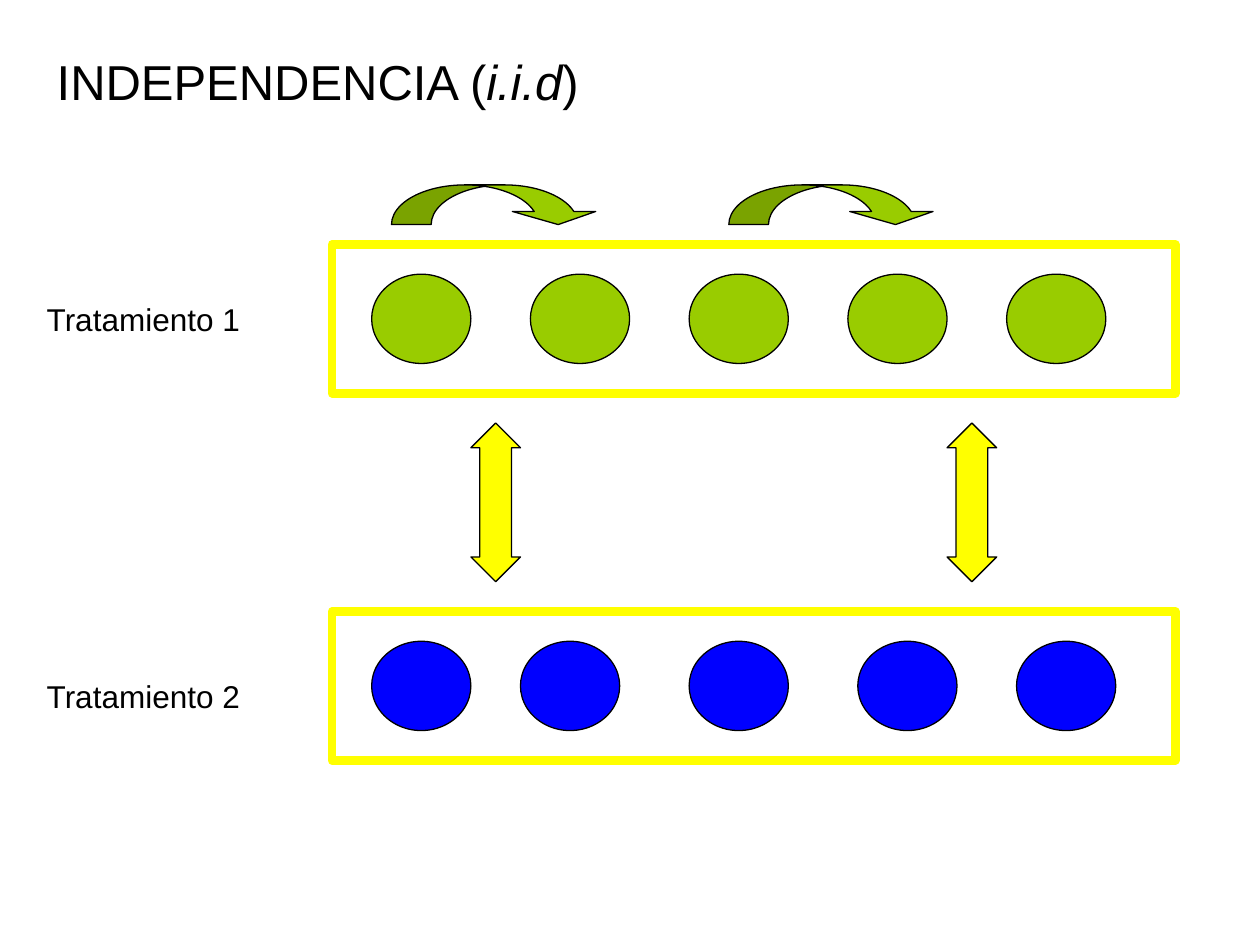
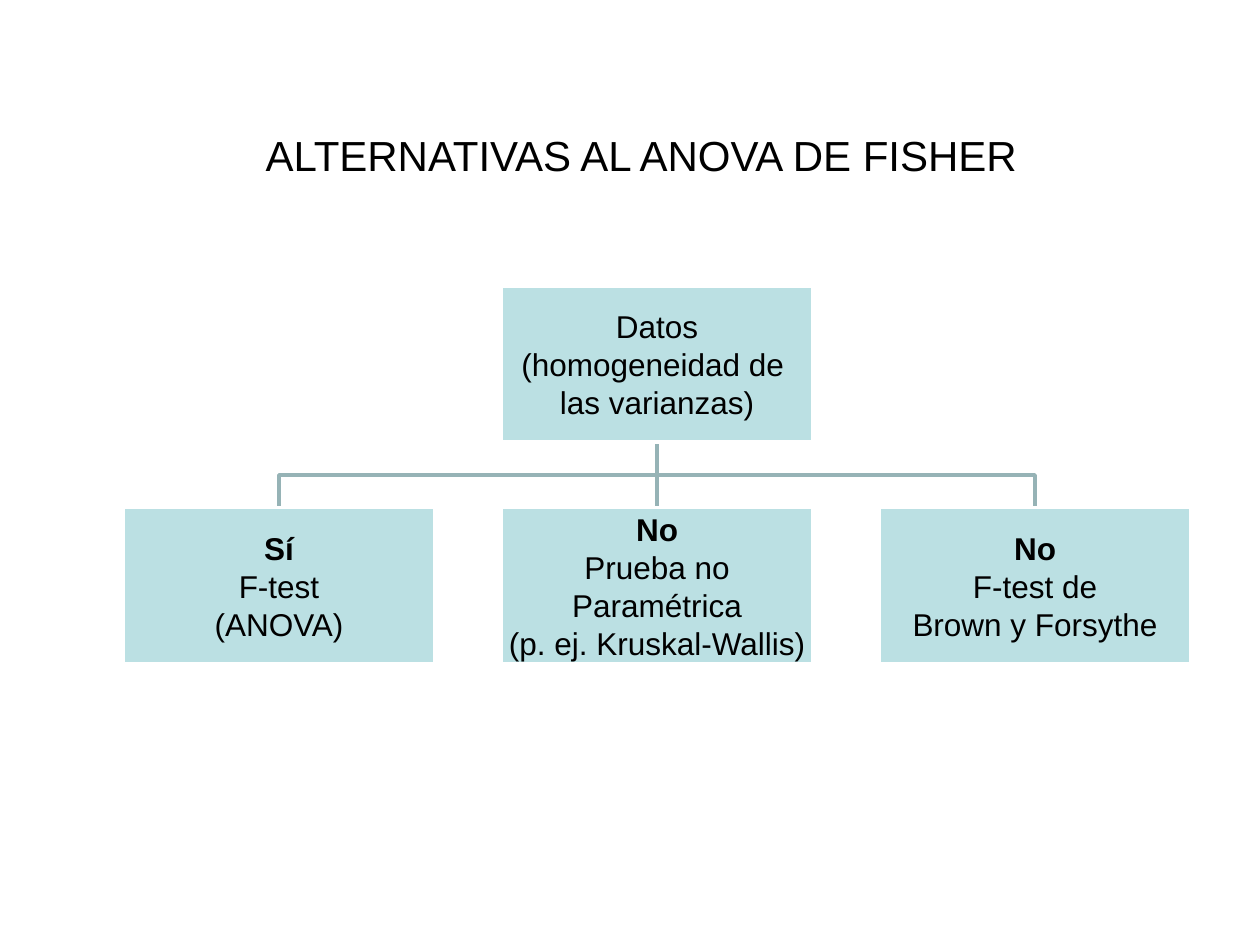
"""Build two slides on independence and the alternatives to Fisher's ANOVA."""
from dataclasses import dataclass

from lxml import etree
from pptx import Presentation
from pptx.dml.color import RGBColor
from pptx.enum.shapes import MSO_CONNECTOR, MSO_SHAPE
from pptx.enum.text import MSO_ANCHOR, MSO_AUTO_SIZE, PP_ALIGN
from pptx.oxml.ns import qn
from pptx.util import Inches, Mm, Pt

RECTANGLE, ELLIPSE = MSO_SHAPE.RECTANGLE, MSO_SHAPE.OVAL
CURVED_ARROW, DOUBLE_ARROW = MSO_SHAPE.CURVED_DOWN_ARROW, MSO_SHAPE.UP_DOWN_ARROW
STRAIGHT = MSO_CONNECTOR.STRAIGHT
LEFT, CENTER = PP_ALIGN.LEFT, PP_ALIGN.CENTER
TOP, MIDDLE = MSO_ANCHOR.TOP, MSO_ANCHOR.MIDDLE
NO_AUTOFIT = MSO_AUTO_SIZE.NONE
TITLE_ONLY = 5
BOTTOM_SITE, TOP_SITE = 2, 0


@dataclass(frozen=True)
class Theme:
    """Colours, type and line weights of the deck."""
    font: str = "Arial"
    text: str = "000000"
    outline: str = "000000"
    highlight: str = "FFFF00"
    first: str = "99CC00"
    second: str = "0000FF"
    box: str = "BBE0E3"
    box_edge: str = "FFFFFF"
    branch: str = "96B3B6"
    large_title: int = 28
    small_title: int = 24
    body: int = 18
    thin: float = 0.75
    medium: float = 2
    thick: float = 5


@dataclass(frozen=True)
class Area:
    """Position and size in EMU."""
    left: int
    top: int
    width: int
    height: int


@dataclass(frozen=True)
class Treatment:
    """A framed row of samples, placed in grid units."""
    label: str
    color: str
    row: int
    label_row: int
    columns: tuple[int, ...]


@dataclass(frozen=True)
class TreeBox:
    """A box of the decision tree and its place in the tree grid."""
    column: int
    row: int
    lines: tuple[str, ...]
    bold_heading: bool = True


THEME = Theme()
GRID_UNIT = Mm(2)
GRID_LEFT, GRID_TOP = Inches(2.95), Inches(1.94)
TREE_LEFT, TREE_TOP = Inches(0.98), Inches(2.27)
TREE_COLUMN, TREE_ROW = Inches(3), Inches(1.76)
BOX_WIDTH, BOX_HEIGHT = Inches(2.47), Inches(1.24)

TREATMENTS = (
    Treatment("Tratamiento 1", THEME.first, 0, 5, (0, 16, 32, 48, 64)),
    Treatment("Tratamiento 2", THEME.second, 37, 43, (0, 15, 32, 49, 65)),
)
TREE_ROOT = TreeBox(1, 0, ("Datos", "(homogeneidad de ", "las varianzas)"), False)
TREE_LEAVES = (
    TreeBox(0, 1, ("Sí", "F-test", "(ANOVA)")),
    TreeBox(1, 1, ("No", "Prueba no Paramétrica", "(p. ej. Kruskal-Wallis)")),
    TreeBox(2, 1, ("No", "F-test de", "Brown y Forsythe")),
)


def inch_area(left: float, top: float, width: float, height: float) -> Area:
    """Return an area given in inches."""
    return Area(Inches(left), Inches(top), Inches(width), Inches(height))


def grid_area(column: float, row: float, columns: float, rows: float) -> Area:
    """Return an area of the sample grid."""
    return Area(GRID_LEFT + int(column * GRID_UNIT), GRID_TOP + int(row * GRID_UNIT),
                int(columns * GRID_UNIT), int(rows * GRID_UNIT))


def tree_area(box: TreeBox) -> Area:
    """Return the area of a tree box."""
    return Area(TREE_LEFT + box.column * TREE_COLUMN, TREE_TOP + box.row * TREE_ROW,
                BOX_WIDTH, BOX_HEIGHT)


def format_run(run, size: int, bold: bool = False, italic: bool = False) -> None:
    """Apply the deck's type to a run."""
    font = run.font
    font.name, font.size = THEME.font, Pt(size)
    font.bold, font.italic = bold, italic
    font.color.rgb = RGBColor.from_string(THEME.text)


def set_line(shape, color: str, width: float) -> None:
    """Colour and weigh an outline."""
    shape.line.color.rgb = RGBColor.from_string(color)
    shape.line.width = Pt(width)


def add_title(slide, area: Area, size: int, alignment, *pieces: tuple[str, bool]) -> None:
    """Fill the title placeholder with (text, italic) pieces."""
    title = slide.shapes.title
    title.left, title.top, title.width, title.height = area.left, area.top, area.width, area.height
    frame = title.text_frame
    frame.auto_size, frame.word_wrap, frame.vertical_anchor = NO_AUTOFIT, True, TOP
    paragraph = frame.paragraphs[0]
    paragraph.alignment = alignment
    for text, italic in pieces:
        run = paragraph.add_run()
        run.text = text
        format_run(run, size, italic=italic)


def add_figure(shapes, kind, area: Area, fill: str | None, line: str = THEME.outline,
               width: float = THEME.thin, adjustments: tuple[float, ...] = ()):
    """Add a preset shape; without a fill it stays hollow."""
    shape = shapes.add_shape(kind, area.left, area.top, area.width, area.height)
    shape.shadow.inherit = False
    if fill is None:
        shape.fill.background()
    else:
        shape.fill.solid()
        shape.fill.fore_color.rgb = RGBColor.from_string(fill)
    set_line(shape, line, width)
    for index, value in enumerate(adjustments):
        shape.adjustments[index] = value
    return shape


def add_treatment(slide, treatment: Treatment) -> None:
    """Add a labelled row of samples in its frame."""
    group = slide.shapes.add_group_shape()
    for column in treatment.columns:
        add_figure(group.shapes, ELLIPSE, grid_area(column, treatment.row + 3, 10, 9),
                   treatment.color)
    add_figure(group.shapes, RECTANGLE, grid_area(-4, treatment.row, 85, 15), None,
               THEME.highlight, THEME.thick)
    area = grid_area(-34, treatment.label_row, 26.5, 5)
    label = slide.shapes.add_textbox(area.left, area.top, area.width, area.height)
    label.text_frame.word_wrap = True
    label.text_frame.text = treatment.label
    format_run(label.text_frame.paragraphs[0].runs[0], THEME.body)


def add_tree_box(slide, box: TreeBox):
    """Add a tree box with centred lines."""
    shape = add_figure(slide.shapes, RECTANGLE, tree_area(box), THEME.box,
                       THEME.box_edge, THEME.medium)
    frame = shape.text_frame
    frame.word_wrap, frame.vertical_anchor = True, MIDDLE
    frame.margin_left = frame.margin_right = Inches(0.01)
    frame.margin_top = frame.margin_bottom = Inches(0.01)
    frame.text = "\n".join(box.lines)
    for index, paragraph in enumerate(frame.paragraphs):
        paragraph.alignment = CENTER
        format_run(paragraph.runs[0], THEME.body, bold=box.bold_heading and index == 0)
    return shape


def add_branch(slide, parent: Area, child: Area):
    """Draw a branch, returning the connector when it is straight."""
    start_x, start_y = parent.left + parent.width // 2, parent.top + parent.height
    end_x, end_y = child.left + child.width // 2, child.top
    if start_x == end_x:
        branch = slide.shapes.add_connector(STRAIGHT, start_x, start_y, end_x, end_y)
        etree.SubElement(branch._element.spPr, qn("a:effectLst"))
        set_line(branch, THEME.branch, THEME.medium)
        return branch
    middle_y = (start_y + end_y) // 2
    builder = slide.shapes.build_freeform(start_x, start_y)
    builder.add_line_segments([(start_x, middle_y), (end_x, middle_y), (end_x, end_y)], close=False)
    branch = builder.convert_to_shape()
    branch.shadow.inherit = False
    branch.fill.background()
    set_line(branch, THEME.branch, THEME.medium)
    return None


def build_independence(slide) -> None:
    """Show independence within and between treatments."""
    add_title(slide, inch_area(0.35, 0.36, 6.22, 0.57), THEME.large_title, LEFT,
              ("INDEPENDENCIA (", False), ("i.i.d", True), (")", False))
    for treatment in TREATMENTS:
        add_treatment(slide, treatment)
    for column in (2, 36):
        add_figure(slide.shapes, CURVED_ARROW, grid_area(column, -6, 21, 4), THEME.first,
                   adjustments=(1.05, 2.1, 0.33))
    for column in (10, 58):
        add_figure(slide.shapes, DOUBLE_ARROW, grid_area(column, 18, 5, 16), THEME.highlight,
                   adjustments=(0.5, 0.64))


def build_alternatives(slide) -> None:
    """Show the decision tree of tests."""
    add_title(slide, inch_area(0.76, 0.98, 8.66, 0.5), THEME.small_title, CENTER,
              ("ALTERNATIVAS AL ANOVA DE FISHER", False))
    branches = [add_branch(slide, tree_area(TREE_ROOT), tree_area(leaf)) for leaf in TREE_LEAVES]
    root = add_tree_box(slide, TREE_ROOT)
    for leaf, branch in zip(TREE_LEAVES, branches):
        box = add_tree_box(slide, leaf)
        if branch is not None:
            branch.begin_connect(root, BOTTOM_SITE)
            branch.end_connect(box, TOP_SITE)


def main() -> None:
    """Build and save the presentation."""
    presentation = Presentation()
    presentation.slide_width, presentation.slide_height = Inches(10), Inches(7.5)
    for build in (build_independence, build_alternatives):
        build(presentation.slides.add_slide(presentation.slide_layouts[TITLE_ONLY]))
    presentation.save("out.pptx")


if __name__ == "__main__":
    main()
